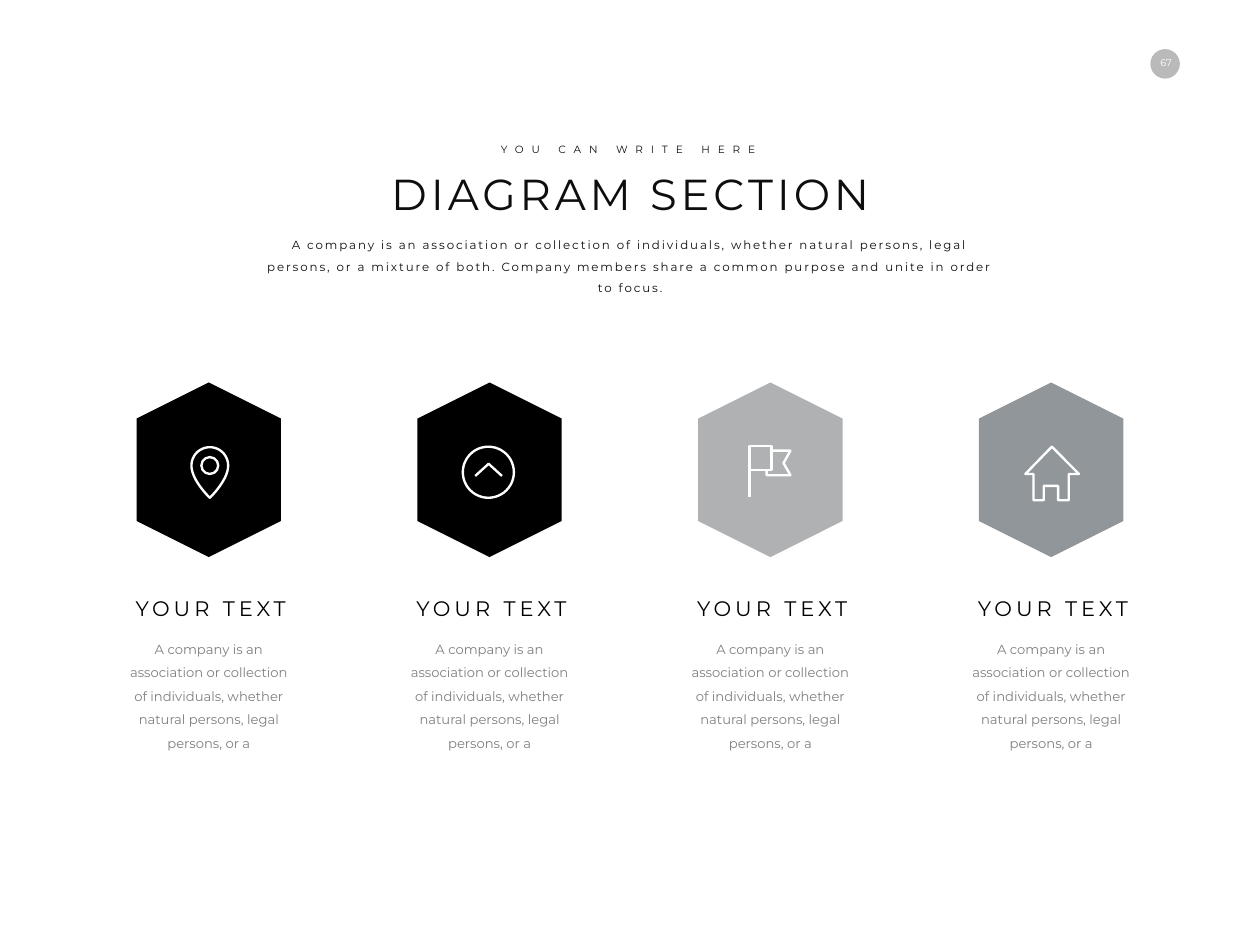
from math import cos, pi, sin

from lxml.etree import SubElement
from pptx import Presentation
from pptx.dml.color import RGBColor
from pptx.enum.shapes import MSO_SHAPE
from pptx.enum.text import MSO_AUTO_SIZE, PP_ALIGN
from pptx.oxml.ns import qn
from pptx.util import Cm, Pt

COLORS = {
    "black": "000000",
    "white": "FFFFFF",
    "ink": "0E0E0E",
    "body": "7F7F7F",
    "light": "B0B1B3",
    "slate": "91969B",
}
FONT = "Montserrat"
INTRO = (
    "A company is an association or collection of individuals, whether natural persons, "
    "legal persons, or a mixture of both. Company members share a common purpose and "
    "unite in order to focus."
)
DETAIL = (
    "A company is an association or collection of individuals, whether natural persons, "
    "legal persons, or a"
)
COLUMN_LEFT, COLUMN_TOP, COLUMN_WIDTH, COLUMN_PITCH = 4.79, 15.42, 7.26, 11.32
HEXAGON_LENGTH, HEXAGON_BREADTH = 7.04, 5.82
CHEVRON = [(-0.58, 0.25), (-0.04, -0.24), (0.5, 0.25)]
FLAG = [(-0.84, 1.1), (-0.84, -0.95), (0.04, -0.95), (0.04, 0.02), (-0.84, 0.02)]
RIBBON = [(0.04, -0.77), (0.81, -0.77), (0.53, -0.27), (0.81, 0.22), (-0.15, 0.22), (-0.15, 0.02)]
HOUSE = [
    (0.03, -0.93), (-1.04, 0.17), (-0.71, 0.17), (-0.71, 1.23), (-0.3, 1.23), (-0.3, 0.65),
    (0.28, 0.65), (0.28, 1.23), (0.71, 1.23), (0.71, 0.17), (1.12, 0.17),
]


def rgb(name):
    """Return the named colour."""
    return RGBColor.from_string(COLORS[name])


def add_filled(slide, kind, left, top, width, height, color):
    """Add a preset shape with a plain fill and no outline."""
    shape = slide.shapes.add_shape(kind, Cm(left), Cm(top), Cm(width), Cm(height))
    shape.shadow.inherit = False
    shape.fill.solid()
    shape.fill.fore_color.rgb = rgb(color)
    shape.line.fill.background()
    return shape


def add_text(slide, box, text, size, color, spacing=0, line_spacing=None, wrap=False):
    """Add a centred one-paragraph text box."""
    frame = slide.shapes.add_textbox(*(Cm(length) for length in box)).text_frame
    frame.word_wrap = wrap
    frame.auto_size = MSO_AUTO_SIZE.SHAPE_TO_FIT_TEXT
    paragraph = frame.paragraphs[0]
    paragraph.alignment = PP_ALIGN.CENTER
    if line_spacing:
        paragraph.line_spacing = line_spacing
    run = paragraph.add_run()
    run.text = text
    run.font.name = FONT
    run.font.size = Pt(size)
    run.font.color.rgb = rgb(color)
    if spacing:
        run._r.get_or_add_rPr().set("spc", str(round(spacing * 100)))


def draw_outline(shape):
    """Give an icon part a white outline without fill."""
    shape.shadow.inherit = False
    shape.fill.background()
    shape.line.color.rgb = rgb("white")
    shape.line.width = Pt(2.7)


def add_ring(slide, x, y, radius):
    """Draw a circle outline around a centre."""
    draw_outline(slide.shapes.add_shape(
        MSO_SHAPE.OVAL, Cm(x - radius), Cm(y - radius), Cm(2 * radius), Cm(2 * radius)))


def add_path(slide, x, y, points, close=False):
    """Draw straight strokes through points relative to a centre."""
    corners = [(Cm(x + across), Cm(y + down)) for across, down in points]
    builder = slide.shapes.build_freeform(*corners[0])
    builder.add_line_segments(corners[1:], close=close)
    draw_outline(builder.convert_to_shape())


def add_pin_icon(slide, x, y):
    """Draw a map pin around a centre."""
    x, y, radius, tip = x + 0.04, y - 0.17, 0.74, 1.3
    steps = 24
    head = [(radius * cos(pi * i / steps), -radius * sin(pi * i / steps)) for i in range(steps + 1)]
    side = []
    for step in range(1, steps + 1):
        t = step / steps
        across = radius * ((1 - t) ** 3 + 3 * t * (1 - t) ** 2)
        down = 1.8 * t * (1 - t) ** 2 + tip * (3 * t ** 2 * (1 - t) + t ** 3)
        side.append((across, down))
    left_side = [(-across, down) for across, down in side]
    add_path(slide, x, y, head + left_side + side[-2::-1], close=True)
    add_ring(slide, x, y, 0.34)


def add_chevron_icon(slide, x, y):
    """Draw an upward chevron in a circle."""
    add_ring(slide, x - 0.05, y + 0.1, 1.03)
    add_path(slide, x, y, CHEVRON)


def add_flag_icon(slide, x, y):
    """Draw a flag with a ribbon tail."""
    add_path(slide, x, y, FLAG)
    add_path(slide, x, y, RIBBON)


def add_house_icon(slide, x, y):
    """Draw a house outline."""
    add_path(slide, x, y, HOUSE, close=True)


def add_page_badge(slide, left, top, size):
    """Add the round page number."""
    add_filled(slide, MSO_SHAPE.OVAL, left, top, size, size, "black")
    add_text(slide, (left, top + 0.18, 1.27, 0.75), "67", 11, "white")


def add_veil(slide, left, top, width, height):
    """Add the translucent white band that softens the badge."""
    veil = add_filled(slide, MSO_SHAPE.RECTANGLE, left, top, width, height, "white")
    color = veil.fill._xPr.find(qn("a:solidFill")).find(qn("a:srgbClr"))
    SubElement(color, qn("a:alpha")).set("val", "73000")


def add_header(slide, left, top, width):
    """Add the kicker, title and introduction."""
    add_text(slide, (left + 9.63, top, 11.13, 0.76), "YOU CAN WRITE HERE", 12, "ink", 9)
    add_text(slide, (left + 5.31, top + 0.97, 19.96, 2.36), "DIAGRAM SECTION", 49.5, "ink", 4.5)
    add_text(slide, (left, top + 3.53, width, 1.98), INTRO, 13.5, "ink", 2.2, 1.5, True)


def add_column(slide, left, top, width, color, add_icon):
    """Add a hexagon with its icon, heading and detail."""
    x, y = left + width / 2, top + HEXAGON_LENGTH / 2
    hexagon = add_filled(slide, MSO_SHAPE.HEXAGON, x - HEXAGON_LENGTH / 2,
                         y - HEXAGON_BREADTH / 2, HEXAGON_LENGTH, HEXAGON_BREADTH, color)
    hexagon.rotation = 270
    add_icon(slide, x, y)
    add_text(slide, (left + 0.29, top + 8.46, 6.83, 1.3), "YOUR TEXT", 24, "black", 4.5)
    add_text(slide, (left, top + 9.98, width, 5.05), DETAIL, 15, "body", 0, 1.5, True)


def main():
    """Build the slide and save it."""
    presentation = Presentation()
    presentation.slide_width, presentation.slide_height = Cm(50.8), Cm(38.1)
    slide = presentation.slides.add_slide(presentation.slide_layouts[6])
    add_page_badge(slide, 46.38, 1.98, 1.19)
    add_veil(slide, 0, 0, 50.8, 18.9 - 0.01)
    add_header(slide, 10.13, 5.66, 30.56)
    columns = [
        ("black", add_pin_icon),
        ("black", add_chevron_icon),
        ("light", add_flag_icon),
        ("slate", add_house_icon),
    ]
    for index, (color, add_icon) in enumerate(columns):
        left = COLUMN_LEFT + index * COLUMN_PITCH
        add_column(slide, left, COLUMN_TOP, COLUMN_WIDTH, color, add_icon)
    presentation.save("out.pptx")


if __name__ == "__main__":
    main()
